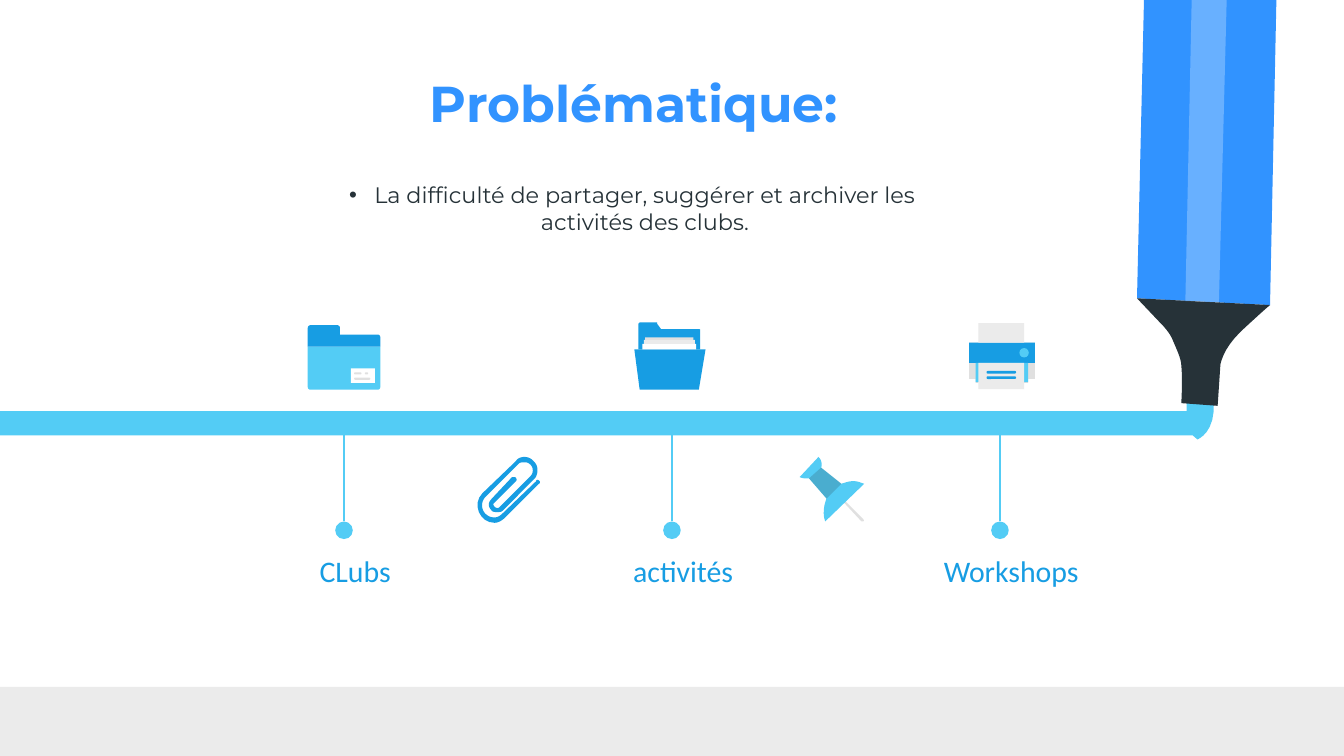
from lxml.etree import SubElement
from pptx import Presentation
from pptx.dml.color import RGBColor
from pptx.enum.shapes import MSO_CONNECTOR as Connector, MSO_SHAPE as Shape
from pptx.enum.text import MSO_ANCHOR as Anchor, MSO_AUTO_SIZE as AutoSize, PP_ALIGN as Align
from pptx.oxml.ns import qn
from pptx.util import Pt

WHITE = RGBColor(0xFF, 0xFF, 0xFF)
PALE = RGBColor(0xEB, 0xEB, 0xEB)
GREY = RGBColor(0xE0, 0xE0, 0xE0)
DARK = RGBColor(0x26, 0x32, 0x38)
MARKER = RGBColor(0x31, 0x93, 0xFF)
BLUE = RGBColor(0x17, 0x9D, 0xE3)
SKY = RGBColor(0x53, 0xCC, 0xF5)

GRID = 0.72        # points per step of the drawing grid used by the icons
CURVE_STEPS = 8

# Outlines in grid steps: pairs are corners, sixes are Bezier curves
MARKER_BODY = [(945, 227), (954, -205), (856, -204), (846, 222)]
MARKER_NIB = [(891, 327), (891, 327, 905, 322, 903, 298), (883, 297),
              (883, 297, 881, 322, 891, 327)]
MARKER_HOLDER = [(906, 302), (908, 272), (908, 272, 909, 260, 924, 246),
                 (939, 232, 945, 227, 945, 227), (846, 222), (864, 241),
                 (868, 245, 871, 249, 873, 254), (875, 259, 879, 267, 879, 272),
                 (880, 282, 879, 300, 879, 300)]
MARKER_SHINE = [(907, 225), (918, -204), (891, -204), (882, 224)]

FOLDER_FRONT = [(229, 258), (229, 288), (229, 289, 230, 290, 231, 290), (281, 290),
                (282, 290, 283, 289, 283, 288), (283, 258)]
FOLDER_TAB = [(251, 242), (231, 242), (230, 242, 229, 243, 229, 244), (229, 258),
              (283, 258), (283, 251), (283, 250, 282, 249, 281, 249), (253, 249),
              (253, 244), (253, 243, 252, 242, 251, 242)]
FILE_FRONT = [(472, 260), (476, 290), (520, 290), (525, 260)]
FILE_BACK = [(476, 240), (475, 241), (475, 260), (521, 260), (521, 246),
             (521, 245, 521, 245, 520, 245), (492, 245), (489, 241), (489, 240)]
PRINTER_SIDES = [(721, 255), (721, 282), (726, 282), (726, 285), (728, 285), (728, 270),
                 (762, 270), (762, 285), (765, 285), (765, 282), (770, 282), (770, 255)]

PIN_NEEDLE = [(629, 373), (628, 373, 627, 374, 628, 374), (641, 388),
              (641, 388, 642, 388, 642, 388), (643, 388, 643, 387, 642, 386)]
PIN_HEAD = [(609, 340), (595, 355), (597, 356, 599, 356, 601, 356), (602, 356),
            (615, 371), (615, 371, 611, 380, 614, 388), (643, 360),
            (640, 359, 638, 358, 635, 358), (632, 358, 629, 359, 626, 360),
            (611, 348), (612, 345, 611, 342, 609, 340)]
PIN_SHADE = [(611, 348), (602, 356), (615, 371), (626, 360)]
PAPER_CLIP = [(390, 340), (388, 340, 385, 341, 384, 343), (359, 367),
              (351, 375, 357, 389, 368, 389), (371, 389, 374, 387, 376, 385), (401, 360),
              (403, 359, 401, 357, 400, 357), (400, 357, 399, 357, 399, 358), (374, 382),
              (372, 384, 370, 385, 368, 385), (365, 385, 363, 384, 361, 382),
              (358, 379, 358, 373, 361, 370), (386, 345), (387, 344, 389, 344, 390, 344),
              (392, 344, 393, 344, 395, 346), (397, 348, 397, 352, 395, 354), (372, 377),
              (371, 378, 371, 378, 370, 378), (368, 378, 366, 375, 368, 374), (384, 358),
              (385, 357, 384, 355, 383, 355), (382, 355, 382, 355, 381, 355), (366, 371),
              (363, 374, 363, 377, 366, 380), (367, 381, 368, 381, 370, 381),
              (372, 381, 373, 381, 374, 380), (398, 356), (399, 355, 400, 352, 400, 350),
              (400, 347, 399, 345, 397, 343), (395, 341, 393, 340, 390, 340)]


def paint(shape, color, opacity=None):
    shape.shadow.inherit = False
    shape.fill.solid()
    shape.fill.fore_color.rgb = color
    shape.line.fill.background()
    if opacity is not None:
        rgb = shape.fill._xPr.find(f"{qn('a:solidFill')}/{qn('a:srgbClr')}")
        SubElement(rgb, qn("a:alpha"), val=str(opacity * 1000))
    return shape


def add_block(slide, color, left, top, width, height, kind=Shape.RECTANGLE):
    """Preset shape measured in points."""
    return paint(slide.shapes.add_shape(kind, Pt(left), Pt(top), Pt(width), Pt(height)), color)


def add_part(slide, color, *box, kind=Shape.RECTANGLE):
    """Preset shape measured in grid steps."""
    return add_block(slide, color, *(step * GRID for step in box), kind=kind)


def add_dash(slide, color, *box):
    dash = add_part(slide, color, *box, kind=Shape.ROUNDED_RECTANGLE)
    dash.adjustments[0] = 0.5
    return dash


def flatten(outline):
    points = [outline[0]]
    for piece in outline[1:]:
        if len(piece) == 2:
            points.append(piece)
            continue
        controls = [points[-1], piece[:2], piece[2:4], piece[4:]]
        for step in range(1, CURVE_STEPS + 1):
            t = step / CURVE_STEPS
            weights = ((1 - t) ** 3, 3 * t * (1 - t) ** 2, 3 * t * t * (1 - t), t ** 3)
            points.append(tuple(sum(w * c[axis] for w, c in zip(weights, controls))
                                for axis in (0, 1)))
    return [(Pt(x * GRID), Pt(y * GRID)) for x, y in points]


def add_outline(slide, color, outline, opacity=None):
    start, *rest = flatten(outline)
    builder = slide.shapes.build_freeform(*start)
    builder.add_line_segments(rest, close=True)
    return paint(builder.convert_to_shape(), color, opacity)


def write(box, text, size, font, color, bold=False, anchor=Anchor.TOP, indent=None, bullet=None):
    frame = box.text_frame
    frame.word_wrap = True
    frame.auto_size = AutoSize.NONE
    frame.vertical_anchor = anchor
    frame.margin_left = frame.margin_right = frame.margin_top = frame.margin_bottom = Pt(7.2)
    frame.text = text
    line = frame.paragraphs[0]
    line.alignment = Align.CENTER
    if indent:
        margin, first = indent
        settings = line._p.get_or_add_pPr()
        settings.set("marL", str(Pt(margin)))
        settings.set("indent", str(Pt(first)))
        if bullet:
            bullet_color = SubElement(settings, qn("a:buClr"))
            SubElement(bullet_color, qn("a:srgbClr"), val=str(color))
            SubElement(settings, qn("a:buFont"), typeface="Arial")
            SubElement(settings, qn("a:buChar"), char=bullet)
    line.font.size, line.font.name, line.font.bold = Pt(size), font, bold
    line.font.color.rgb = color


def add_text(slide, left, top, width, height, *args, **kwargs):
    write(slide.shapes.add_textbox(Pt(left), Pt(top), Pt(width), Pt(height)), *args, **kwargs)


def add_stop(slide, center, label):
    """Stem, dot and label hanging from the timeline."""
    stem = slide.shapes.add_connector(Connector.STRAIGHT, Pt(center), Pt(227.5),
                                      Pt(center), Pt(279.4))
    stem.line.color.rgb = SKY
    stem.line.width = Pt(1.5)
    SubElement(stem._element.spPr, qn("a:effectLst"))
    add_block(slide, SKY, center - 4.7, 279.4, 9.4, 9.4, Shape.OVAL)
    add_text(slide, center - 66.6, 288.7, 133.2, 25.2, label, 16, "Calibri", BLUE,
             indent=(36, -24))


def add_marker(slide):
    slide.shapes.add_group_shape([
        add_outline(slide, MARKER, MARKER_BODY),
        add_outline(slide, SKY, MARKER_NIB),
        add_outline(slide, DARK, MARKER_HOLDER),
        add_outline(slide, WHITE, MARKER_SHINE, 27)])


def add_folder(slide):
    slide.shapes.add_group_shape([
        add_outline(slide, SKY, FOLDER_FRONT),
        add_outline(slide, BLUE, FOLDER_TAB),
        add_part(slide, WHITE, 261, 274, 18, 11),
        *(add_dash(slide, GREY, left, top, width, 1.6)
          for left, top, width in ((263.5, 277, 5.5), (271.5, 277, 2.5), (263.5, 281, 12)))])


def add_file(slide):
    slide.shapes.add_group_shape([
        add_outline(slide, BLUE, FILE_FRONT),
        add_outline(slide, BLUE, FILE_BACK),
        add_part(slide, WHITE, 478, 256, 40, 4),
        add_part(slide, PALE, 479, 253, 38, 3),
        add_part(slide, GREY, 480, 251, 36, 2)])


def add_printer(slide):
    slide.shapes.add_group_shape([
        add_outline(slide, GREY, PRINTER_SIDES),
        add_part(slide, BLUE, 721, 255, 49, 15),
        add_part(slide, SKY, 726, 270, 39, 14.5),
        add_part(slide, PALE, 728, 240.5, 34, 14.5),
        add_part(slide, PALE, 728, 270, 34, 19.5),
        *(add_dash(slide, BLUE, 734, top, 22, 2) for top in (276, 280)),
        add_part(slide, SKY, 758.5, 259, 7, 7, kind=Shape.OVAL)])


def add_pin(slide):
    slide.shapes.add_group_shape([
        add_outline(slide, GREY, PIN_NEEDLE),
        add_outline(slide, SKY, PIN_HEAD),
        add_outline(slide, DARK, PIN_SHADE, 20)])


def main():
    deck = Presentation()
    deck.slide_width, deck.slide_height = Pt(720), Pt(405)
    slide = deck.slides.add_slide(deck.slide_layouts[5])

    # Heading and problem statement
    title = slide.shapes.title
    title.left, title.top, title.width, title.height = Pt(36), Pt(42.5), Pt(607), Pt(25.2)
    write(title, "Problématique:", 27, "Montserrat", MARKER, bold=True, anchor=Anchor.MIDDLE)
    add_text(slide, 172.8, 90, 332, 40.3,
             "La difficulté de partager, suggérer et archiver les activités des clubs.",
             12, "Montserrat", DARK, indent=(13.5, -13.5), bullet="•")

    # Floor, and the line drawn by the marker
    add_block(slide, PALE, 0, 368, 720, 37)
    add_block(slide, SKY, 0, 220.3, 642.2, 13)
    add_marker(slide)

    # Icons above and below the line
    for add_icon in (add_folder, add_file, add_printer, add_pin):
        add_icon(slide)
    add_outline(slide, BLUE, PAPER_CLIP)

    # Stops at equal distances around the middle
    for place, label in enumerate(("CLubs", "activités", "Workshops"), start=-1):
        add_stop(slide, 360 + place * 175.7, label)

    deck.save("out.pptx")


if __name__ == "__main__":
    main()
